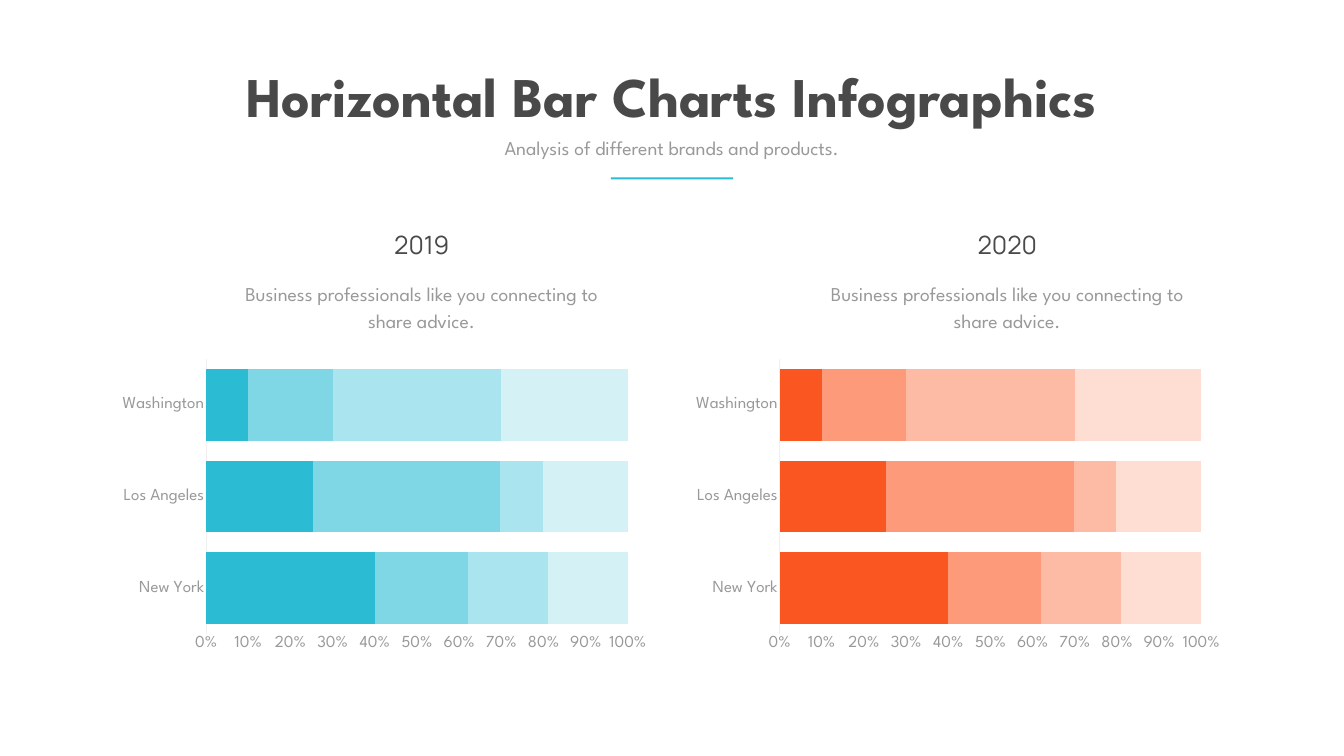
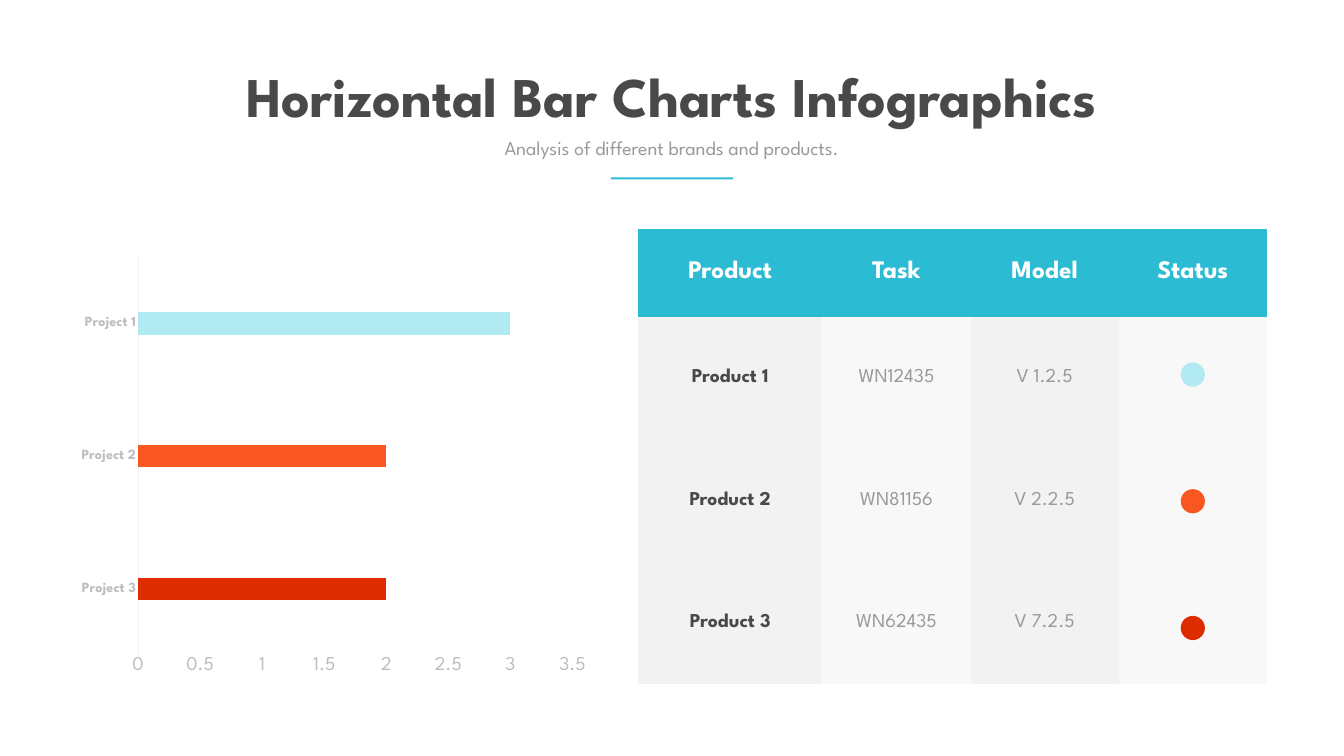
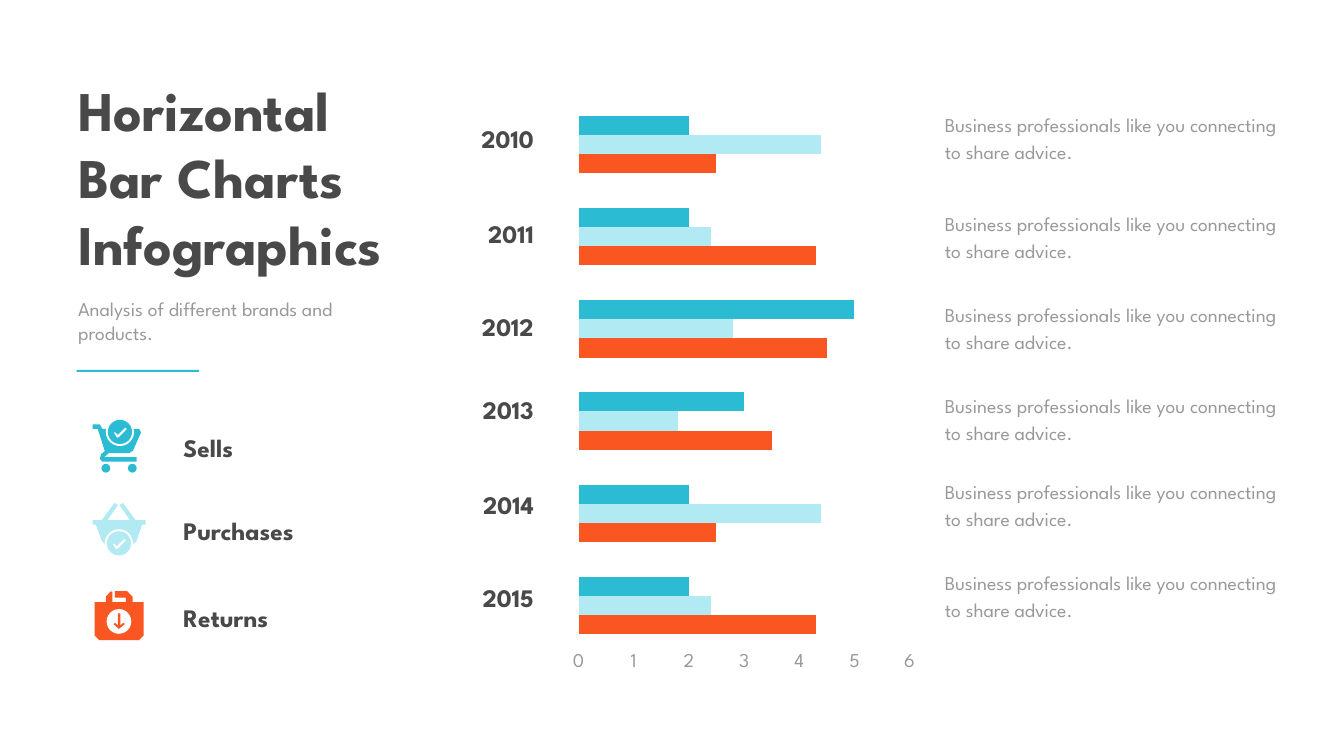
import lxml.etree
import pptx
import pptx.chart.data
import pptx.dml.color
import pptx.enum.chart
import pptx.enum.shapes
import pptx.enum.text
import pptx.oxml
import pptx.oxml.ns
import pptx.util

Inches = pptx.util.Inches
Pt = pptx.util.Pt
RGBColor = pptx.dml.color.RGBColor
Align = pptx.enum.text.PP_ALIGN
ShapeType = pptx.enum.shapes.MSO_SHAPE
ChartType = pptx.enum.chart.XL_CHART_TYPE
qn = pptx.oxml.ns.qn

DARK = RGBColor(0x49, 0x49, 0x49)
GREY = RGBColor(0x99, 0x99, 0x99)
SILVER = RGBColor(0xBD, 0xBD, 0xBD)
AXIS = RGBColor(0xF0, 0xF0, 0xF0)
CELL = RGBColor(0xF2, 0xF2, 0xF2)
WHITE = RGBColor(0xFF, 0xFF, 0xFF)
TEAL = RGBColor(0x2B, 0xBC, 0xD3)
PALE = RGBColor(0xB1, 0xEA, 0xF2)
ORANGE = RGBColor(0xFA, 0x56, 0x21)
RED = RGBColor(0xDD, 0x2C, 0x00)
TEALS = [TEAL, RGBColor(0x7F, 0xD7, 0xE5), RGBColor(0xAA, 0xE4, 0xEE), RGBColor(0xD4, 0xF2, 0xF6)]
ORANGES = [ORANGE, RGBColor(0xFC, 0x9A, 0x7A), RGBColor(0xFD, 0xBB, 0xA6), RGBColor(0xFE, 0xDD, 0xD3)]

SPARTAN = "League Spartan"
TITLE = {"name": SPARTAN, "size": Pt(80), "bold": True, "color": DARK}
BODY = {"name": SPARTAN, "size": Pt(28), "bold": False, "color": GREY}
LABEL = {"name": SPARTAN, "size": Pt(36), "bold": True, "color": DARK}
YEAR = {"name": "Manrope", "size": Pt(36), "bold": False, "color": DARK}
HEADING = {**LABEL, "color": WHITE}
PRODUCT = {**BODY, "bold": True, "color": DARK}
TICKS = {**BODY, "size": Pt(24)}
PROJECT_TICKS = {**BODY, "size": Pt(20), "bold": True, "color": SILVER}
SCALE_TICKS = {**BODY, "color": SILVER}

ADVICE = "Business professionals like you connecting to share advice."
ADVICE_SPACING = Pt(38.6)


def write_text(frame, lines, formats, alignment, spacing=None):
    for index, line in enumerate(lines):
        paragraph = frame.add_paragraph() if index else frame.paragraphs[0]
        paragraph.alignment = alignment
        paragraph.space_before = Pt(0)
        if spacing:
            paragraph.line_spacing = spacing
        run = paragraph.add_run()
        run.text = line
        for name, value in formats.items():
            if name == "color":
                run.font.color.rgb = value
            else:
                setattr(run.font, name, value)


def paint(shape, color):
    """Give a shape a flat fill without line or shadow."""
    shape.shadow.inherit = False
    shape.fill.solid()
    shape.fill.fore_color.rgb = color
    shape.line.fill.background()


presentation = pptx.Presentation()
presentation.slide_width = Inches(26.67)
presentation.slide_height = Inches(15)

# Headers: title lines, alignment, title box, subtitle box, rule position
centred_header = (["Horizontal Bar Charts Infographics"], Align.CENTER,
                  (4.08, 1.17, 18.5, 1.45), (8.55, 2.65, 9.56, 0.57), (12.12, 3.52))
left_header = (["Horizontal", "Bar Charts", "Infographics"], Align.LEFT,
               (1.45, 1.44, 9.37, 4.14), (1.45, 5.84, 5.34, 1.04), (1.52, 7.34))
slides = []
for title_lines, alignment, title_box, subtitle_box, rule in (centred_header, centred_header, left_header):
    slide = presentation.slides.add_slide(presentation.slide_layouts[0])
    slides.append(slide)
    subtitle_lines = ["Analysis of different brands and products."]
    for shape, lines, box, formats in (
            (slide.shapes.title, title_lines, title_box, TITLE),
            (slide.placeholders[1], subtitle_lines, subtitle_box, BODY)):
        shape.left, shape.top, shape.width, shape.height = map(Inches, box)
        frame = shape.text_frame
        frame.word_wrap = not (formats is TITLE and alignment == Align.CENTER)
        frame.auto_size = pptx.enum.text.MSO_AUTO_SIZE.SHAPE_TO_FIT_TEXT
        frame.vertical_anchor = pptx.enum.text.MSO_ANCHOR.TOP
        write_text(frame, lines, formats, alignment)
    paint(slide.shapes.add_shape(ShapeType.RECTANGLE, *map(Inches, (*rule, 2.43, 0.04))), TEAL)
cities_slide, products_slide, years_slide = slides

# Charts
city_values = [[40, 25, 10], [22, 44, 20], [19, 10, 40], [19, 20, 30]]
year_values = [[4.3, 2.5, 3.5, 4.5, 4.3, 2.5], [2.4, 4.4, 1.8, 2.8, 2.4, 4.4], [2, 2, 3, 5, 2, 2]]
city_chart = {
    "slide": cities_slide, "kind": ChartType.BAR_STACKED_100,
    "categories": ["New York", "Los Angeles", "Washington"], "values": city_values,
    "gap": 28, "overlap": 30, "maximum": 1, "unit": 0.1, "number_format": "0%",
    "category_ticks": TICKS, "value_ticks": TICKS}
charts = [
    {**city_chart, "box": (2.22, 6.98, 10.82, 6.06), "plot": (4.09, 7.12, 8.37, 5.46), "colors": TEALS},
    {**city_chart, "box": (13.6, 6.98, 10.82, 6.06), "plot": (15.47, 7.12, 8.37, 5.46), "colors": ORANGES},
    {"slide": products_slide, "kind": ChartType.BAR_STACKED,
     "categories": ["Project 3", "Project 2", "Project 1"], "values": [[2, 2, 3]],
     "gap": 493, "overlap": 30, "maximum": 3.5, "unit": 0.5, "number_format": "General",
     "category_ticks": PROJECT_TICKS, "value_ticks": SCALE_TICKS,
     "box": (1.41, 4.92, 10.43, 8.66), "plot": (2.74, 5.1, 8.62, 7.9),
     "colors": [ORANGE], "point_colors": [RED, ORANGE, PALE]},
    {"slide": years_slide, "kind": ChartType.BAR_CLUSTERED,
     "categories": ["1", "2", "3", "4", "5", "6"], "values": year_values,
     "gap": 182, "overlap": 0, "maximum": 6, "unit": 1, "number_format": "General",
     "category_ticks": None, "value_ticks": BODY,
     "box": (11.23, 1.72, 7.08, 11.85), "plot": (11.48, 1.95, 6.57, 10.98),
     "colors": [ORANGE, PALE, TEAL]},
]
for item in charts:
    data = pptx.chart.data.CategoryChartData()
    data.categories = item["categories"]
    for number, values in enumerate(item["values"], 1):
        data.add_series(f"Series {number}", values)
    chart = item["slide"].shapes.add_chart(item["kind"], *map(Inches, item["box"]), data).chart
    chart.has_legend = False
    chart.has_title = False
    chart.font.name = SPARTAN
    chart.font.size = item["value_ticks"]["size"]
    chart.font.color.rgb = GREY

    plot = chart.plots[0]
    plot.vary_by_categories = False
    plot.gap_width = item["gap"]
    plot.overlap = item["overlap"]
    for series, color in zip(plot.series, item["colors"]):
        series.format.fill.solid()
        series.format.fill.fore_color.rgb = color
    for index, color in enumerate(item.get("point_colors", [])):
        fill = plot.series[0].points[index].format.fill
        fill.solid()
        fill.fore_color.rgb = color

    category_axis, value_axis = chart.category_axis, chart.value_axis
    value_axis.minimum_scale = 0
    value_axis.maximum_scale = item["maximum"]
    value_axis.major_unit = item["unit"]
    value_axis.tick_labels.number_format = item["number_format"]
    value_axis.tick_labels.number_format_is_linked = False
    value_axis.format.line.fill.background()
    category_axis.format.line.color.rgb = AXIS
    category_axis.format.line.width = Pt(0.75)
    category_axis.visible = item["category_ticks"] is not None
    for axis, formats in ((category_axis, item["category_ticks"]), (value_axis, item["value_ticks"])):
        axis.has_major_gridlines = False
        axis.major_tick_mark = axis.minor_tick_mark = pptx.enum.chart.XL_TICK_MARK.NONE
        for name, value in (formats or {}).items():
            if name == "color":
                axis.tick_labels.font.color.rgb = value
            else:
                setattr(axis.tick_labels.font, name, value)

    # Fix the inner plot area as fractions of the chart frame
    left, top, width, height = item["box"]
    plot_left, plot_top, plot_width, plot_height = item["plot"]
    fractions = {"x": (plot_left - left) / width, "y": (plot_top - top) / height,
                 "w": plot_width / width, "h": plot_height / height}
    plot_area = chart._chartSpace.chart.plotArea
    for layout in plot_area.findall(qn("c:layout")):
        plot_area.remove(layout)
    layout = pptx.oxml.parse_xml(
        f'<c:layout {pptx.oxml.ns.nsdecls("c")}><c:manualLayout><c:layoutTarget val="inner"/>'
        '<c:xMode val="edge"/><c:yMode val="edge"/>'
        + "".join(f'<c:{name} val="{value:.4f}"/>' for name, value in fractions.items())
        + "</c:manualLayout></c:layout>")
    plot_area.insert(0, layout)

# Product table with status dots
rows = [
    ["Product", "Task", "Model", "Status"],
    ["Product 1", "WN12435", "V 1.2.5", ""],
    ["Product 2", "WN81156", "V 2.2.5", ""],
    ["Product 3", "WN62435", "V 7.2.5", ""],
]
margins = {"margin_left": Inches(0.14), "margin_right": Inches(0.14),
           "margin_top": Inches(0.07), "margin_bottom": Inches(0.07),
           "vertical_anchor": pptx.enum.text.MSO_ANCHOR.MIDDLE}
table = products_slide.shapes.add_table(4, 4, *map(Inches, (12.66, 4.54, 12.48, 9.04))).table
table.horz_banding = False
NO_TABLE_STYLE = "{2D5ABB26-0587-4C30-8999-92F81FD0307C}"
table._tbl.tblPr.find(qn("a:tableStyleId")).text = NO_TABLE_STYLE
for column, width in zip(table.columns, (3.66, 2.94, 2.94, 2.94)):
    column.width = Inches(width)
for row_index, texts in enumerate(rows):
    table.rows[row_index].height = Inches(2.43 if row_index else 1.75)
    for column_index, text in enumerate(texts):
        cell = table.cell(row_index, column_index)
        for name, value in margins.items():
            setattr(cell, name, value)
        cell.fill.solid()
        cell.fill.fore_color.rgb = CELL if row_index else TEAL
        if row_index and column_index % 2:
            for color_element in cell._tc.tcPr.iter(qn("a:srgbClr")):
                lxml.etree.SubElement(color_element, qn("a:alpha")).set("val", "50000")
        if text:
            formats = HEADING if row_index == 0 else BODY if column_index else PRODUCT
            write_text(cell.text_frame, [text], formats, Align.CENTER)
for index, color in enumerate((PALE, ORANGE, RED)):
    dot_box = (23.43, 7.19 + 2.515 * index, 0.48, 0.48)
    paint(products_slide.shapes.add_shape(ShapeType.OVAL, *map(Inches, dot_box)), color)

# Free text: slide, box, text, formats, alignment, line spacing
texts = []
for index, year in enumerate(("2019", "2020")):
    shift = 11.62 * index
    texts.append((cities_slide, (4.35 + shift, 5.47, 8.03, 1.15), ADVICE, BODY, Align.CENTER, ADVICE_SPACING))
    texts.append((cities_slide, (5.98 + shift, 4.51, 4.78, 0.71), year, YEAR, Align.CENTER, None))
year_tops = (2.39, 4.28, 6.12, 7.78, 9.66, 11.51)
advice_tops = (2.12, 4.09, 5.89, 7.69, 9.41, 11.21)
for year, (year_top, advice_top) in enumerate(zip(year_tops, advice_tops), 2010):
    texts.append((years_slide, (8.27, year_top, 2.42, 0.71), str(year), LABEL, Align.RIGHT, None))
    texts.append((years_slide, (18.65, advice_top, 6.83, 1.18), ADVICE, BODY, Align.LEFT, ADVICE_SPACING))
for label, top in (("Sells", 8.52), ("Purchases", 10.18), ("Returns", 11.91)):
    texts.append((years_slide, (3.54, top, 3.08, 0.71), label, LABEL, Align.LEFT, None))
for slide, box, text, formats, alignment, spacing in texts:
    frame = slide.shapes.add_textbox(*map(Inches, box)).text_frame
    frame.word_wrap = True
    frame.auto_size = pptx.enum.text.MSO_AUTO_SIZE.SHAPE_TO_FIT_TEXT
    write_text(frame, [text], formats, alignment, spacing)

# Legend icons, in hundredths of an inch; symbols are relative to the badge centre
cart = [(184, 842), (198, 842), (203, 851), (276, 851), (280, 858), (264, 894), (257, 899),
        (216, 899), (207, 907), (271, 907), (271, 916), (203, 916), (198, 910), (201, 901),
        (208, 895), (194, 851), (184, 851)]
basket = [(184, 1032), (202, 1032), (227, 998), (234, 1002), (213, 1032), (258, 1032),
          (237, 1002), (244, 998), (269, 1032), (289, 1032), (289, 1041), (282, 1041),
          (271, 1073), (267, 1078), (206, 1078), (202, 1073), (190, 1041), (184, 1041)]
bag = [(188, 1195), (210, 1195), (210, 1184), (220, 1173), (223, 1175), (223, 1195),
       (250, 1195), (250, 1186), (228, 1186), (228, 1173), (252, 1173), (263, 1184),
       (263, 1195), (285, 1195), (285, 1261), (276, 1270), (197, 1270), (188, 1261)]
check = [(-12, 1), (-9, 1), (-4, 6), (10, -8), (13, -8), (13, -5), (-3, 11), (-6, 11)]
arrow = [(-2, -16), (3, -16), (3, 8), (8, 3), (12, 5), (0, 15), (-11, 5), (-7, 3), (-2, 8)]
icons = [
    # outline, colour, badge centre, badge circles as (radius, colour), symbol, symbol colour
    (cart, TEAL, (238, 857), [(28, WHITE), (24, TEAL)], check, WHITE),
    (basket, PALE, (236, 1078), [(28, WHITE), (24, PALE)], check, WHITE),
    (bag, ORANGE, (236, 1233), [(24.5, WHITE)], arrow, ORANGE),
]
for outline, color, (center_x, center_y), circles, symbol, symbol_color in icons:
    symbol_outline = [(center_x + x, center_y + y) for x, y in symbol]
    badges = [(center_x, center_y, radius, fill) for radius, fill in circles]
    if outline is cart:
        badges += [(x, 929, 8.75, color) for x in (210, 262.5)]
    for points, fill in ((outline, color), (symbol_outline, symbol_color)):
        builder = years_slide.shapes.build_freeform(*points[0], scale=Inches(0.01))
        builder.add_line_segments(points[1:], close=True)
        paint(builder.convert_to_shape(), fill)
        if points is outline:
            for x, y, radius, circle_fill in badges:
                circle_box = [value / 100 for value in (x - radius, y - radius, 2 * radius, 2 * radius)]
                circle = years_slide.shapes.add_shape(ShapeType.OVAL, *map(Inches, circle_box))
                paint(circle, circle_fill)

presentation.save("out.pptx")
